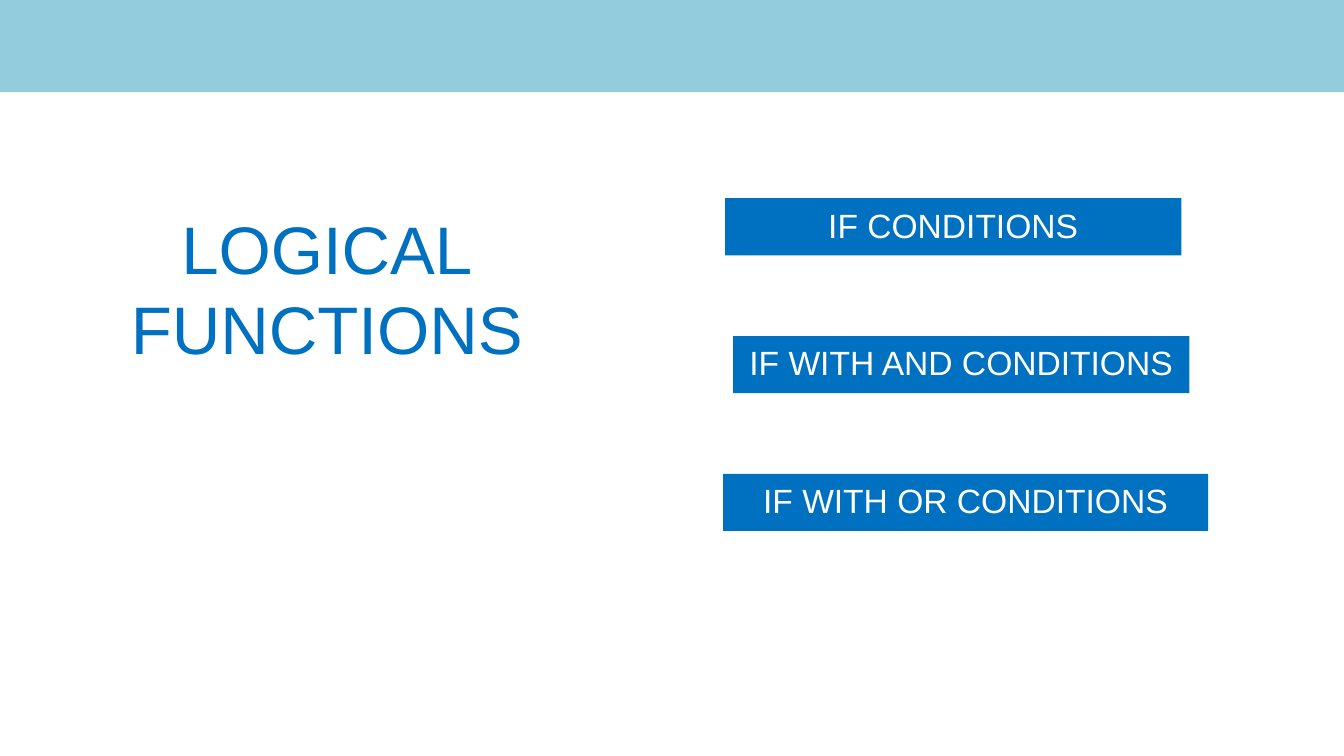
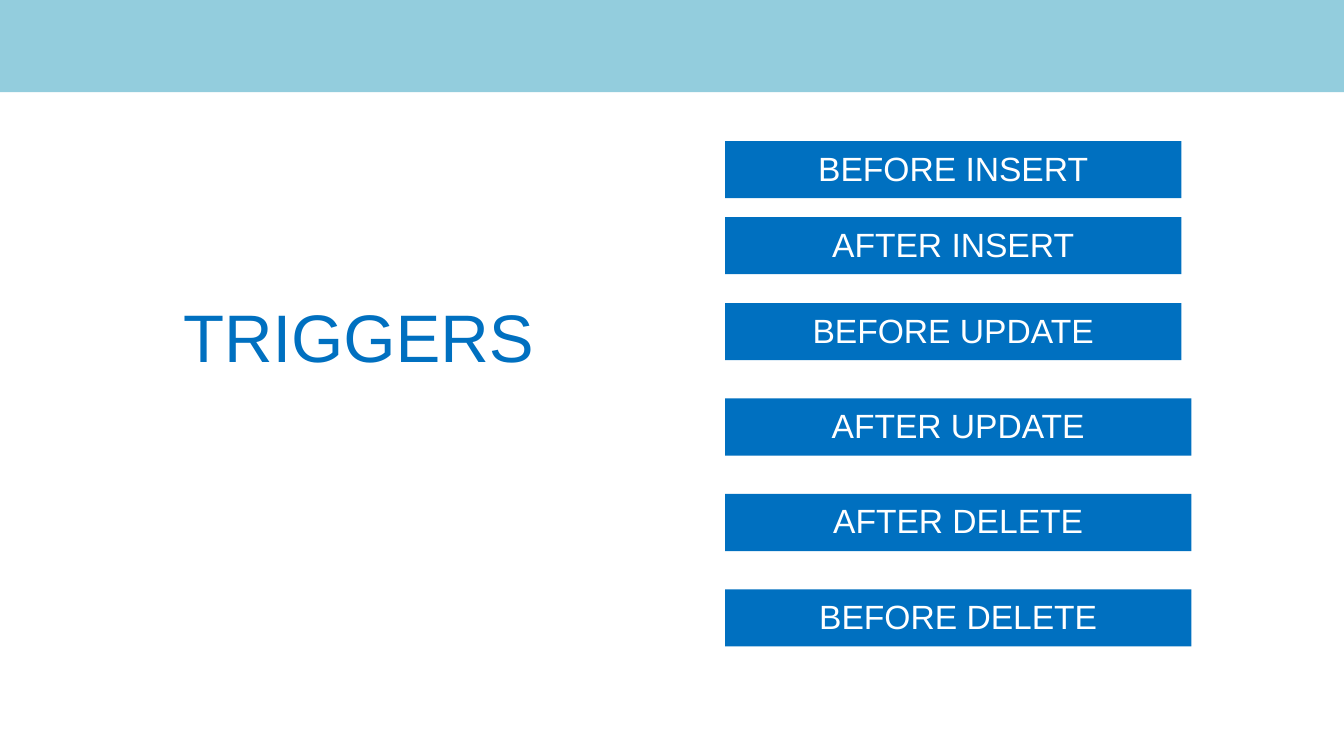
import dataclasses
import typing

import pptx
import pptx.dml.color
import pptx.enum.shapes
import pptx.enum.text
import pptx.util

HUES = {"band": "93CDDD", "bar": "0070C0", "title": "0070C0", "label": "FFFFFF"}
FONT = "Arial"
LEAD = 1.2  # line height as a multiple of the text size

# Grid: 20 columns by 11.25 rows
COLS, ROWS = 20, 11.25
WIDE, HIGH = pptx.util.Inches(20), pptx.util.Inches(11.25)
BAND_ROWS = 1.37
BAR_LEFT, BAR_ROWS = 10.79, 0.85
SLIM, BROAD = 6.79, 6.94


@dataclasses.dataclass
class Box:
    left: float
    top: float
    cols: float
    rows: float


@dataclasses.dataclass
class Bar:
    text: str
    top: float
    left: float = BAR_LEFT
    cols: float = SLIM


@dataclasses.dataclass
class Page:
    title: list[str]
    spot: Box
    bars: list[Bar]


def place(shape: typing.Any, box: Box) -> None:
    shape.left, shape.width = (round(WIDE * n / COLS) for n in (box.left, box.cols))
    shape.top, shape.height = (round(HIGH * n / ROWS) for n in (box.top, box.rows))


def write(shape: typing.Any, lines: list[str], size: int, hue: str, edge: float) -> None:
    frame = shape.text_frame
    frame.word_wrap = True
    frame.auto_size = pptx.enum.text.MSO_AUTO_SIZE.NONE
    pad = pptx.util.Inches(edge)
    frame.margin_left = frame.margin_right = frame.margin_top = pad
    frame.margin_bottom = 2 * pad  # lifts centred labels slightly
    for i, line in enumerate(lines):
        para = frame.add_paragraph() if i else frame.paragraphs[0]
        para.alignment = pptx.enum.text.PP_ALIGN.CENTER
        para.line_spacing = pptx.util.Pt(size * LEAD)
        para.space_before = pptx.util.Pt(0)
        run = para.add_run()
        run.text = line
        run.font.name = FONT
        run.font.size = pptx.util.Pt(size)
        run.font.color.rgb = pptx.dml.color.RGBColor.from_string(HUES[hue])


def block(slide: typing.Any, box: Box, hue: str) -> typing.Any:
    shape = slide.shapes.add_shape(pptx.enum.shapes.MSO_SHAPE.RECTANGLE, 0, 0, 0, 0)
    place(shape, box)
    shape.shadow.inherit = False
    shape.fill.solid()
    shape.fill.fore_color.rgb = pptx.dml.color.RGBColor.from_string(HUES[hue])
    shape.line.fill.background()
    return shape


def draw(deck: typing.Any, page: Page) -> None:
    slide = deck.slides.add_slide(deck.slide_layouts[5])
    # Title
    title = slide.shapes.title
    place(title, page.spot)
    write(title, page.title, 72, "title", 0)
    title.text_frame.vertical_anchor = pptx.enum.text.MSO_ANCHOR.TOP
    # Top band
    block(slide, Box(0, 0, COLS, BAND_ROWS), "band")
    # Labelled bars
    for bar in page.bars:
        shape = block(slide, Box(bar.left, bar.top, bar.cols, BAR_ROWS), "bar")
        write(shape, [bar.text], 36, "label", 0.06)
        shape.text_frame.vertical_anchor = pptx.enum.text.MSO_ANCHOR.MIDDLE


def steps(start: float, gap: float, count: int) -> list[float]:
    return [start + gap * i for i in range(count)]


# Bar rows
logic = steps(2.95, 2.05, 3)
fires = steps(2.1, 1.13, 2) + steps(4.51, 1.42, 4)

PAGES = [
    Page(["LOGICAL", "FUNCTIONS"], Box(0.97, 3.08, 7.79, 3.87), [
        Bar("IF CONDITIONS", logic[0]),
        Bar("IF WITH AND CONDITIONS", logic[1], left=10.91),
        Bar("IF WITH OR CONDITIONS", logic[2], left=10.76, cols=7.22),
    ]),
    Page(["TRIGGERS"], Box(1.44, 4.4, 7.79, 3.87), [
        Bar("BEFORE INSERT", fires[0]),
        Bar("AFTER INSERT", fires[1]),
        Bar("BEFORE UPDATE", fires[2]),
        Bar("AFTER UPDATE", fires[3], cols=BROAD),
        Bar("AFTER DELETE", fires[4], cols=BROAD),
        Bar("BEFORE DELETE", fires[5], cols=BROAD),
    ]),
]


def main() -> None:
    deck = pptx.Presentation()
    deck.slide_width, deck.slide_height = WIDE, HIGH
    for page in PAGES:
        draw(deck, page)
    deck.save("out.pptx")


if __name__ == "__main__":
    main()
